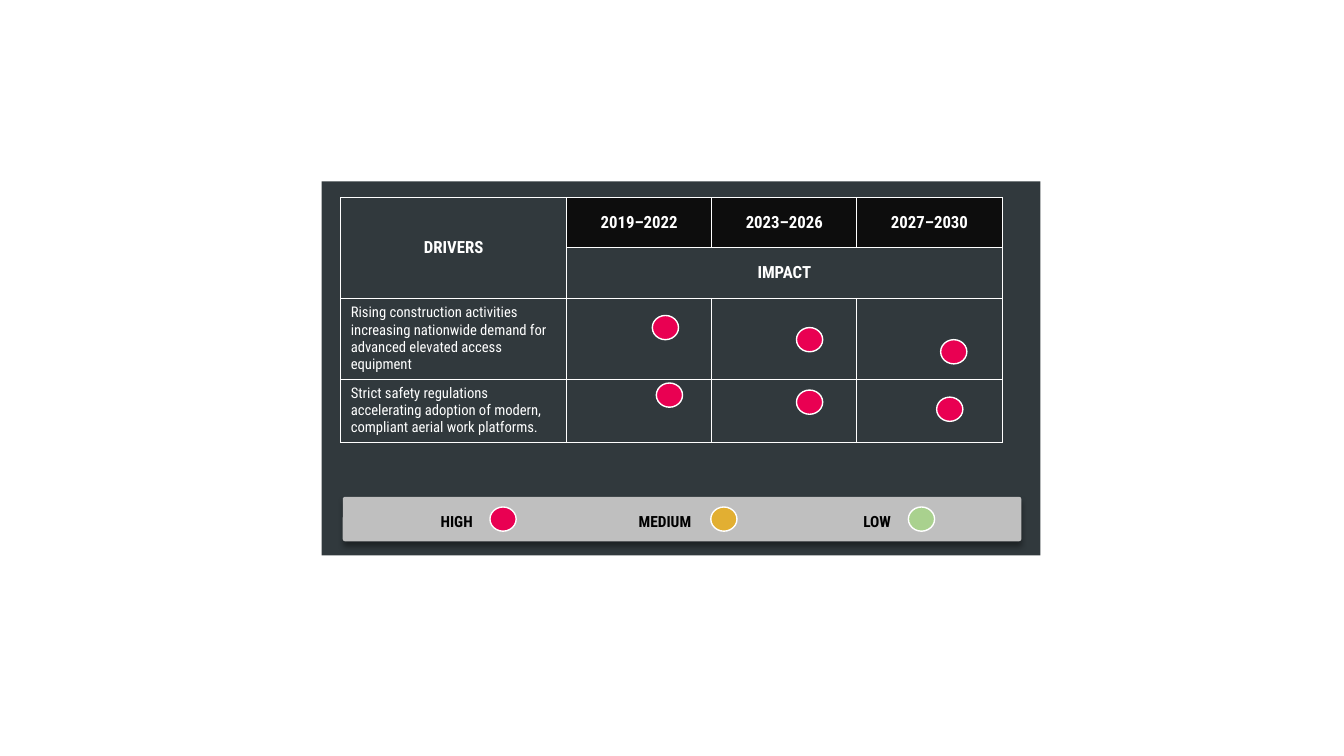
from dataclasses import dataclass

from lxml import etree
from pptx import Presentation
from pptx import util as u
from pptx.dml.color import RGBColor
from pptx.enum import shapes, text
from pptx.oxml import parse_xml
from pptx.oxml.ns import nsdecls, qn

EMU_PER_PX = 9144  # 100 px to the inch
FONT = "Roboto Condensed"

WHITE = RGBColor(0xFF, 0xFF, 0xFF)
BLACK = RGBColor(0x00, 0x00, 0x00)
PANEL = RGBColor(0x31, 0x39, 0x3D)
PERIOD_FILL = RGBColor(0x0D, 0x0D, 0x0D)
LEGEND_FILL = RGBColor(0xBF, 0xBF, 0xBF)
HIGH = RGBColor(0xE9, 0x00, 0x52)
MEDIUM = RGBColor(0xE2, 0xAF, 0x32)
LOW = RGBColor(0xA9, 0xD1, 0x8E)

DOT_WIDTH, DOT_HEIGHT = 26, 24
LEGEND_TOP = 503
PERIODS = ["2019–2022", "2023–2026", "2027–2030"]
COLUMN_WIDTHS = [224, 144, 144, 144]
ROW_HEIGHTS = [50, 50, 80, 62]


@dataclass(frozen=True)
class LegendItem:
    label: str
    label_left: int
    label_width: int
    dot_left: int
    color: RGBColor


@dataclass(frozen=True)
class Driver:
    wording: str
    dot_left: int
    dot_top: int
    step_x: int
    step_y: int


LEGEND = [
    LegendItem("HIGH", 426, 54, 486, HIGH),
    LegendItem("MEDIUM", 622, 75, 705, MEDIUM),
    LegendItem("LOW", 826, 88, 901, LOW),
]
DRIVERS = [
    Driver("Rising construction activities increasing nationwide demand for "
           "advanced elevated access equipment", 647, 313, 143, 12),
    Driver("Strict safety regulations accelerating adoption of modern, "
           "compliant aerial work platforms.", 651, 380, 139, 7),
]


def px(length: int) -> u.Emu:
    return u.Emu(length * EMU_PER_PX)


def write(frame, wording: str, *, size: float = 12, bold: bool = True,
          color: RGBColor = WHITE, align=text.PP_ALIGN.CENTER) -> None:
    paragraph = frame.paragraphs[0]
    paragraph.alignment = align
    run = paragraph.add_run()
    run.text = wording
    run.font.name = FONT
    run.font.size = u.Pt(size)
    run.font.bold = bold
    run.font.color.rgb = color


def add_filled(slide, kind, left: int, top: int, width: int, height: int,
               fill: RGBColor, line: RGBColor | None = None):
    shape = slide.shapes.add_shape(kind, px(left), px(top), px(width), px(height))
    shape.shadow.inherit = False
    shape.fill.solid()
    shape.fill.fore_color.rgb = fill
    if line is None:
        shape.line.fill.background()
    else:
        shape.line.color.rgb = line
        shape.line.width = u.Pt(1)
    return shape


def add_dot(slide, left: int, top: int, color: RGBColor) -> None:
    add_filled(slide, shapes.MSO_SHAPE.OVAL, left, top, DOT_WIDTH, DOT_HEIGHT, color, WHITE)


def add_shadow(shape) -> None:
    effects = shape._element.spPr.find(qn("a:effectLst"))
    effects.append(parse_xml(
        f'<a:outerShdw {nsdecls("a")} blurRad="{u.Pt(4)}" dist="{u.Pt(3)}" dir="5400000">'
        '<a:srgbClr val="000000"><a:alpha val="40000"/></a:srgbClr></a:outerShdw>'))


def add_legend(slide) -> None:
    bar = add_filled(slide, shapes.MSO_SHAPE.ROUNDED_RECTANGLE, 340, 493, 673, 44, LEGEND_FILL)
    bar.adjustments[0] = 0.05
    add_shadow(bar)
    for item in LEGEND:
        label = slide.shapes.add_textbox(px(item.label_left), px(LEGEND_TOP),
                                         px(item.label_width), px(27))
        label.text_frame.word_wrap = False
        write(label.text_frame, item.label, size=11, color=BLACK)
        add_dot(slide, item.dot_left, LEGEND_TOP, item.color)


def style_cell(cell, fill: RGBColor | None) -> None:
    properties = cell._tc.get_or_add_tcPr()
    for side in ("lnL", "lnR", "lnT", "lnB"):
        border = etree.SubElement(properties, qn(f"a:{side}"), w=str(u.Pt(0.75)))
        solid = etree.SubElement(border, qn("a:solidFill"))
        etree.SubElement(solid, qn("a:srgbClr"), val=str(WHITE))
    if fill is None:
        cell.fill.background()
    else:
        cell.fill.solid()
        cell.fill.fore_color.rgb = fill
    cell.vertical_anchor = text.MSO_ANCHOR.MIDDLE


def add_impact_table(slide) -> None:
    table = slide.shapes.add_table(len(ROW_HEIGHTS), len(COLUMN_WIDTHS), px(338), px(196),
                                   px(sum(COLUMN_WIDTHS)), px(sum(ROW_HEIGHTS))).table
    table.first_row = table.horz_banding = False
    for column, width in zip(table.columns, COLUMN_WIDTHS):
        column.width = px(width)
    for row_index, height in enumerate(ROW_HEIGHTS):
        table.rows[row_index].height = px(height)
        for column_index in range(len(COLUMN_WIDTHS)):
            is_period = row_index == 0 and column_index > 0
            style_cell(table.cell(row_index, column_index), PERIOD_FILL if is_period else None)

    # Headings
    table.cell(0, 0).merge(table.cell(1, 0))
    table.cell(1, 1).merge(table.cell(1, 3))
    write(table.cell(0, 0).text_frame, "DRIVERS")
    write(table.cell(1, 1).text_frame, "IMPACT")
    for column_index, period in enumerate(PERIODS, start=1):
        write(table.cell(0, column_index).text_frame, period)

    # Driver wording
    for row_index, driver in enumerate(DRIVERS, start=2):
        write(table.cell(row_index, 0).text_frame, driver.wording,
              size=10.5, bold=False, align=text.PP_ALIGN.LEFT)


def main() -> None:
    presentation = Presentation()
    presentation.slide_width, presentation.slide_height = px(1333), px(750)
    slide = presentation.slides.add_slide(presentation.slide_layouts[6])

    # Panel and legend
    add_filled(slide, shapes.MSO_SHAPE.RECTANGLE, 319, 180, 713, 371, PANEL)
    add_legend(slide)

    # Impact ratings, one dot per period
    for driver in DRIVERS:
        for index in range(len(PERIODS)):
            add_dot(slide, driver.dot_left + index * driver.step_x,
                    driver.dot_top + index * driver.step_y, HIGH)

    add_impact_table(slide)
    presentation.save("out.pptx")


if __name__ == "__main__":
    main()
